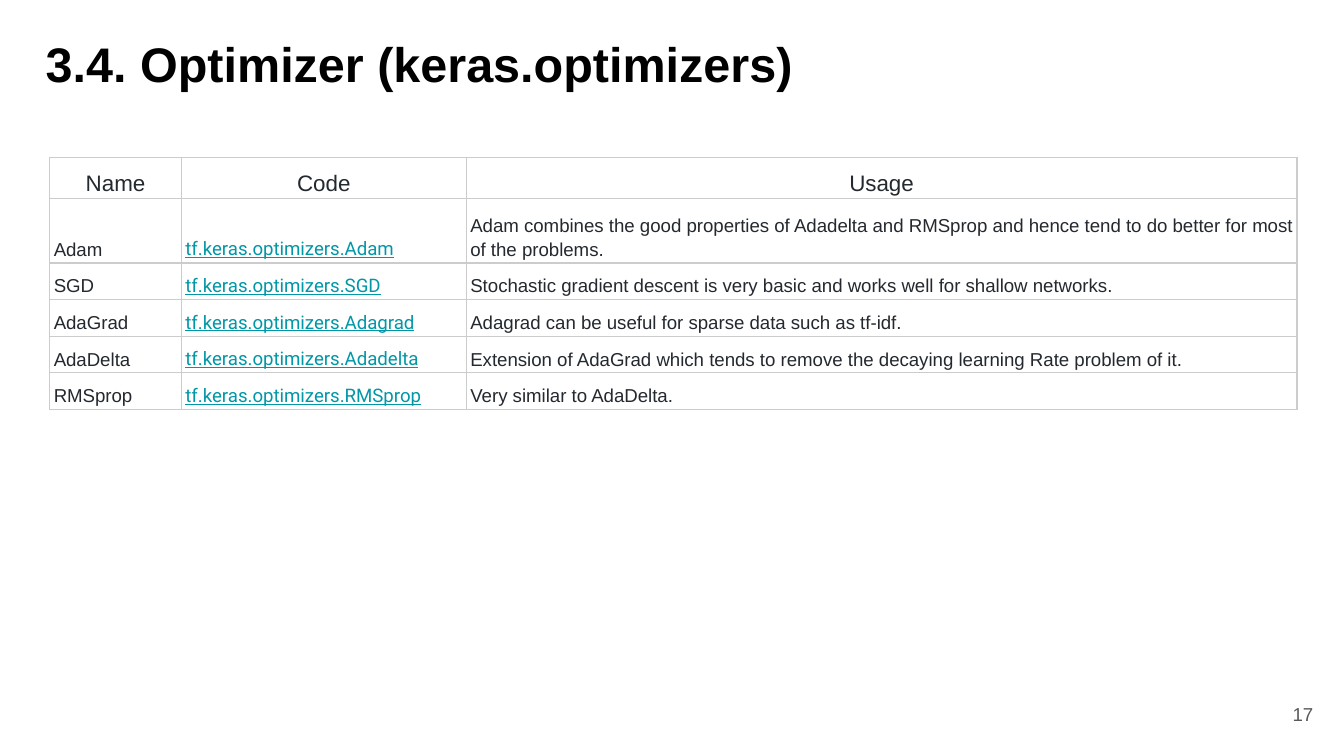
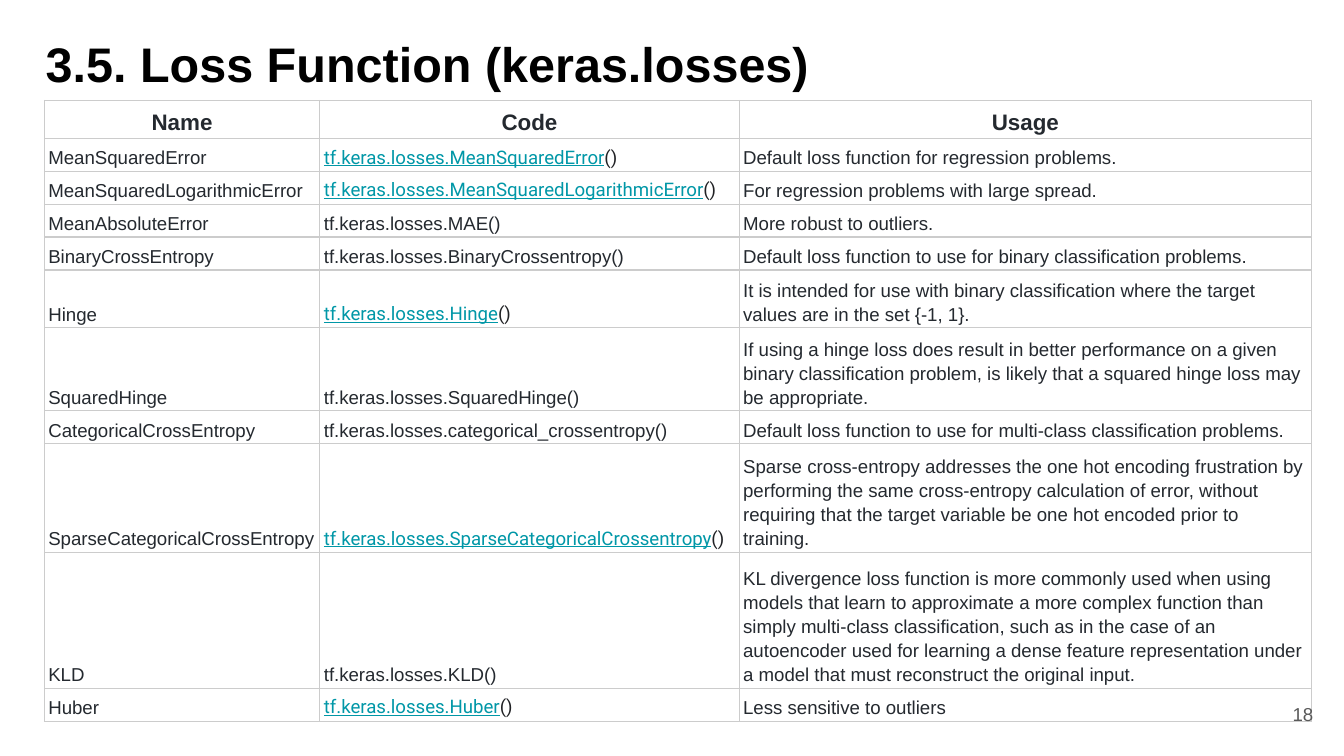
from lxml.etree import SubElement
from pptx import Presentation
from pptx.dml.color import RGBColor
from pptx.enum.text import MSO_ANCHOR as Anchor, MSO_AUTO_SIZE as AutoSize, PP_ALIGN as Align
from pptx.oxml.ns import qn
from pptx.util import Inches, Pt

# Shared style: a grid of 100 columns by 100 rows
WIDTH = Inches(10)
HEIGHT = WIDTH * 9 // 16
COL, ROW = WIDTH / 100, HEIGHT / 100
INK, LINK, CALL, GREY, RULE, PAPER = "24292F", "0097A7", "202124", "595959", "CCCCCC", "FFFFFF"
HEADINGS = ("Name", "Code", "Usage")
hex_color = RGBColor.from_string


def add_text(para, text, size=10, font="Arial", color=INK, bold=False, underline=False,
             align=Align.LEFT, spacing=None):
    para.alignment = align
    if spacing:
        para.line_spacing = spacing
    span = para.add_run()
    span.text = text
    span.font.size, span.font.name = Pt(size), font
    span.font.bold, span.font.underline = bold, underline
    span.font.color.rgb = hex_color(color)


def draw_borders(cell):
    props = cell._tc.get_or_add_tcPr()
    for index, side in enumerate(("a:lnL", "a:lnR", "a:lnT", "a:lnB")):
        line = SubElement(props, qn(side), w=str(Pt(0.75)))
        SubElement(SubElement(line, qn("a:solidFill")), qn("a:srgbClr"), val=RULE)
        props.insert(index, line)


# Each row: name, linked code, plain code, usage
optimizers = [
    ("Adam", "Adam", "", "Adam combines the good properties of Adadelta and RMSprop and hence "
     "tend to do better for most of the problems."),
    ("SGD", "SGD", "", "Stochastic gradient descent is very basic and works well for shallow networks."),
    ("AdaGrad", "Adagrad", "", "Adagrad can be useful for sparse data such as tf-idf."),
    ("AdaDelta", "Adadelta", "", "Extension of AdaGrad which tends to remove the decaying learning "
     "Rate problem of it."),
    ("RMSprop", "RMSprop", "", "Very similar to AdaDelta."),
]
losses = [
    ("MeanSquaredError", "MeanSquaredError", "()", "Default loss function for regression problems."),
    ("MeanSquaredLogarithmicError", "MeanSquaredLogarithmicError", "()",
     "For regression problems with large spread."),
    ("MeanAbsoluteError", "", "MAE()", "More robust to outliers."),
    ("BinaryCrossEntropy", "", "BinaryCrossentropy()",
     "Default loss function to use for binary classification problems."),
    ("Hinge", "Hinge", "()", "It is intended for use with binary classification where the target "
     "values are in the set {-1, 1}."),
    ("SquaredHinge", "", "SquaredHinge()", "If using a hinge loss does result in better performance "
     "on a given binary classification problem, is likely that a squared hinge loss may be appropriate."),
    ("CategoricalCrossEntropy", "", "categorical_crossentropy()",
     "Default loss function to use for multi-class classification problems."),
    ("SparseCategoricalCrossEntropy", "SparseCategoricalCrossentropy", "()",
     "Sparse cross-entropy addresses the one hot encoding frustration by performing the same "
     "cross-entropy calculation of error, without requiring that the target variable be one hot "
     "encoded prior to training."),
    ("KLD", "", "KLD()", "KL divergence loss function is more commonly used when using models that "
     "learn to approximate a more complex function than simply multi-class classification, such as "
     "in the case of an autoencoder used for learning a dense feature representation under a model "
     "that must reconstruct the original input."),
    ("Huber", "Huber", "()", "Less sensitive to outliers"),
]

# Page number, title, code prefix, bold headings, table corner, columns, rows, content
pages = [
    (17, "3.4. Optimizer (keras.optimizers)", "tf.keras.optimizers.", False, (3.7, 20.8),
     (9.8, 21.2, 61.8), [5.5, 8.5] + [4.84] * 4, optimizers),
    (18, "3.5. Loss Function (keras.losses)", "tf.keras.losses.", True, (3.3, 13.3),
     (20.5, 31.2, 42.6), [5] + [4.36] * 4 + [7.65, 11, 4.36, 11, 18, 4.36], losses),
]

deck = Presentation()
deck.slide_width, deck.slide_height = WIDTH, HEIGHT

for number, heading, prefix, bold, (left, top), widths, heights, entries in pages:
    page = deck.slides.add_slide(deck.slide_layouts[5])
    page.background.fill.solid()
    page.background.fill.fore_color.rgb = hex_color(PAPER)

    # Title
    title = page.shapes.title
    title.left, title.top = int(2.4 * COL), int(2.67 * ROW)
    title.width, title.height = int(94.8 * COL), int(11.4 * ROW)
    add_text(title.text_frame.paragraphs[0], heading, size=26, color="000000", bold=True)

    # Table frame
    table = page.shapes.add_table(
        len(heights), len(widths), int(left * COL), int(top * ROW),
        int(sum(widths) * COL), int(sum(heights) * ROW)).table
    table.first_row = table.horz_banding = False
    for column, width in zip(table.columns, widths):
        column.width = int(width * COL)
    for row, height in zip(table.rows, heights):
        row.height = int(height * ROW)
    for cell in table.iter_cells():
        cell.fill.solid()
        cell.fill.fore_color.rgb = hex_color(PAPER)
        cell.vertical_anchor = Anchor.BOTTOM
        cell.margin_left = cell.margin_right = Inches(0.03)
        cell.margin_top = cell.margin_bottom = Inches(0.02)
        draw_borders(cell)

    # Table text
    for index, label in enumerate(HEADINGS):
        add_text(table.cell(0, index).text_frame.paragraphs[0], label, size=12, bold=bold,
                 align=Align.CENTER, spacing=1.15)
    for index, (name, link, plain, usage) in enumerate(entries, 1):
        name_para, code_para, usage_para = (
            cell.text_frame.paragraphs[0] for cell in table.rows[index].cells)
        add_text(name_para, name, spacing=1.15)
        add_text(usage_para, usage, spacing=1.15)
        if link:
            add_text(code_para, prefix + link, font="Roboto", color=LINK, underline=True, spacing=1.15)
            if plain:
                add_text(code_para, plain, font="Roboto", color=CALL, spacing=1.15)
        else:
            add_text(code_para, prefix + plain, spacing=1.15)

    # Page number
    box = page.shapes.add_textbox(int(92.7 * COL), int(90.67 * ROW), int(6 * COL), int(7.65 * ROW))
    add_text(box.text_frame.paragraphs[0], str(number), color=GREY, align=Align.RIGHT)

    # Shared text frame settings
    for shape, anchor, sizing in ((title, Anchor.TOP, AutoSize.SHAPE_TO_FIT_TEXT),
                                  (box, Anchor.MIDDLE, AutoSize.NONE)):
        frame = shape.text_frame
        frame.word_wrap, frame.vertical_anchor, frame.auto_size = True, anchor, sizing
        frame.margin_left = frame.margin_right = Inches(0.1)
        frame.margin_top = frame.margin_bottom = Inches(0.1)

deck.save("out.pptx")
